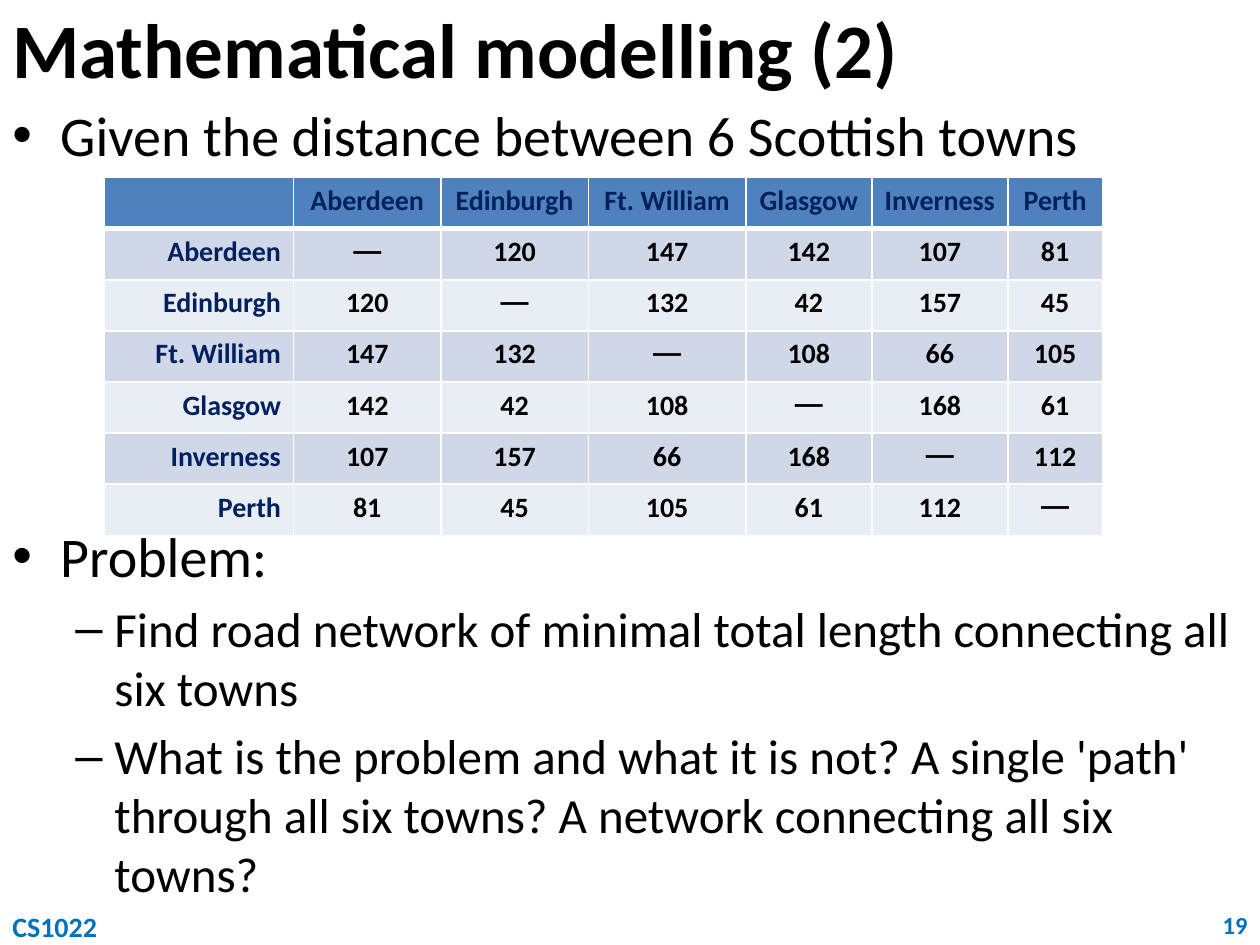
"""Build the slide on road distances between six Scottish towns."""
from lxml.etree import SubElement
from pptx import Presentation
from pptx.dml.color import RGBColor
from pptx.enum.text import MSO_ANCHOR, PP_ALIGN
from pptx.oxml.ns import qn
from pptx.util import Inches, Pt

COLORS = {
    "black": "000000", "white": "FFFFFF", "footer": "0070C0", "town": "002060",
    "header": "4F81BD", "odd": "D0D8E8", "even": "E9EDF4",
}
TOWNS = ["Aberdeen", "Edinburgh", "Ft. William", "Glasgow", "Inverness", "Perth"]
DISTANCES = [
    ["—", "120", "147", "142", "107", "81"],
    ["120", "—", "132", "42", "157", "45"],
    ["147", "132", "—", "108", "66", "105"],
    ["142", "42", "108", "—", "168", "61"],
    ["107", "157", "66", "168", "—", "112"],
    ["81", "45", "105", "61", "112", "—"],
]
COL_WIDTHS = [1.5, 1.17, 1.17, 1.25, 1, 1.08, 0.75]
BULLETS = [
    (0, "Given the distance between 6 Scottish towns", 0),
    (0, "Problem:", 202),
    (1, "Find road network of minimal total length connecting all six towns", 5.6),
    (1, "What is the problem and what it is not? A single 'path' through all six towns? "
        "A network connecting all six towns?", 5.6),
]
LEVELS = [("•", 32, 0.38, -0.38), ("–", 28, 0.81, -0.31)]


def write(p, text, size, color, bold=True, align=PP_ALIGN.LEFT, font="Calibri"):
    p.text = text
    p.alignment = align
    for r in p.runs:
        r.font.size = Pt(size)
        r.font.name = font
        r.font.bold = bold
        r.font.color.rgb = RGBColor.from_string(COLORS[color])


def add_text_frame(left, top, width, height):
    tf = s.shapes.add_textbox(Inches(left), Inches(top), Inches(width), Inches(height)).text_frame
    tf.word_wrap = True
    return tf


prs = Presentation()
prs.slide_width, prs.slide_height = Inches(10), Inches(7.5)
s = prs.slides.add_slide(prs.slide_layouts[6])

tf = add_text_frame(0, 0, 10, 0.75)
tf.vertical_anchor = MSO_ANCHOR.MIDDLE
write(tf.paragraphs[0], "Mathematical modelling (2)", 44, "black")

tf = add_text_frame(0, 0.75, 10, 6.42)
for i, (level, text, space) in enumerate(BULLETS):
    p = tf.add_paragraph() if i else tf.paragraphs[0]
    bullet, size, margin, indent = LEVELS[level]
    write(p, text, size, "black", bold=False)
    p.level = level
    p.space_before = Pt(space)
    pPr = p._p.get_or_add_pPr()
    pPr.set("marL", str(Inches(margin)))
    pPr.set("indent", str(Inches(indent)))
    SubElement(pPr, qn("a:buFont"), typeface="Arial")
    SubElement(pPr, qn("a:buChar"), char=bullet)

tf = add_text_frame(9.58, 7.17, 0.42, 0.33)
write(tf.paragraphs[0], "19", 14, "footer", align=PP_ALIGN.RIGHT)
tf = add_text_frame(0, 7.17, 0.92, 0.33)
write(tf.paragraphs[0], "CS1022", 16, "footer")

rows = [[""] + TOWNS] + [[town] + values for town, values in zip(TOWNS, DISTANCES)]
table = s.shapes.add_table(
    len(rows), len(COL_WIDTHS), Inches(0.83), Inches(1.41), Inches(7.92), Inches(2.84)
).table
for column, width in zip(table.columns, COL_WIDTHS):
    column.width = Inches(width)
for i, row in enumerate(rows):
    fill = "header" if i == 0 else "odd" if i % 2 else "even"
    for j, text in enumerate(row):
        cell = table.cell(i, j)
        write(
            cell.text_frame.paragraphs[0], text, 16,
            "black" if i and j else "town",
            align=PP_ALIGN.CENTER if j else PP_ALIGN.RIGHT,
            font="Arial" if text == "—" else "Calibri",
        )
        tcPr = cell._tc.get_or_add_tcPr()
        for side in ("L", "R", "T", "B"):
            thick = (i == 0 and side == "B") or (i == 1 and side == "T")
            ln = SubElement(tcPr, qn(f"a:ln{side}"), w=str(Pt(3 if thick else 1)))
            SubElement(SubElement(ln, qn("a:solidFill")), qn("a:srgbClr"), val=COLORS["white"])
        cell.fill.solid()
        cell.fill.fore_color.rgb = RGBColor.from_string(COLORS[fill])

prs.save("out.pptx")
